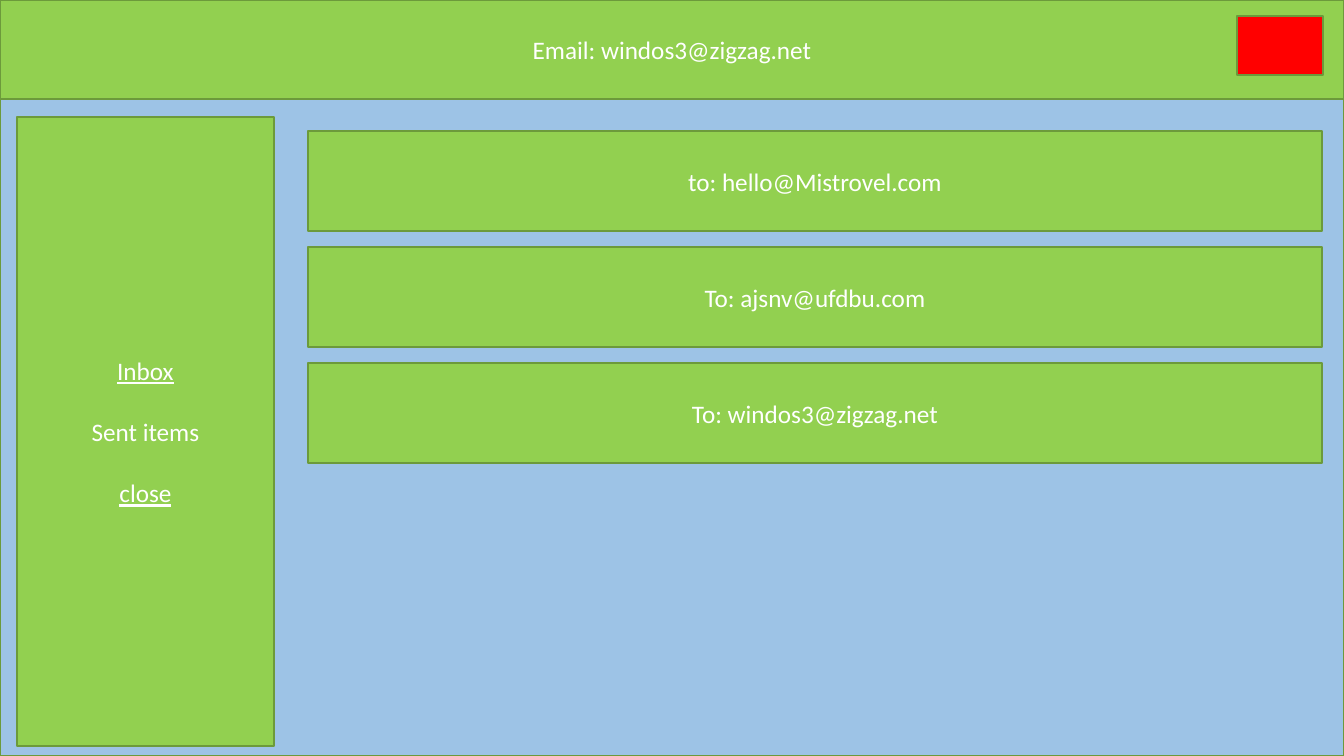
from dataclasses import dataclass

from lxml import etree
from pptx import Presentation
from pptx import util as u
from pptx.dml.color import RGBColor
from pptx.enum import shapes, text
from pptx.oxml.ns import qn

PX = 12192000 / 1344
BLUE, GREEN, RED, EDGE, WHITE = "9DC3E6", "92D050", "FF0000", "6C9A3B", "FFFFFF"
FONT = {"name": "Calibri", "size": u.Pt(18), "bold": False}
FRAME = {
    "word_wrap": True,
    "auto_size": text.MSO_AUTO_SIZE.NONE,
    "vertical_anchor": text.MSO_ANCHOR.MIDDLE,
}


@dataclass
class Line:
    words: str
    under: bool = False


@dataclass
class Panel:
    x: int
    y: int
    w: int
    h: int
    fill: str = GREEN
    lines: tuple[Line, ...] = ()


def px(n: int) -> u.Emu:
    return u.Emu(round(n * PX))


def tint(code: str) -> RGBColor:
    return RGBColor.from_string(code)


def write(frame, lines: tuple[Line, ...]) -> None:
    for key, val in FRAME.items():
        setattr(frame, key, val)
    for i, line in enumerate(lines):
        para = frame.paragraphs[0] if i == 0 else frame.add_paragraph()
        para.alignment = text.PP_ALIGN.CENTER
        para.space_before = u.Pt(22 if i else 0)
        # Plain lines without bullet or indent
        props = para._p.get_or_add_pPr()
        props.set("marL", "0")
        props.set("indent", "0")
        etree.SubElement(props, qn("a:buNone"))
        run = para.add_run()
        run.text = line.words
        for key, val in FONT.items():
            setattr(run.font, key, val)
        run.font.underline = line.under
        run.font.color.rgb = tint(WHITE)


def draw(slide, panel: Panel, holder=None):
    box = [px(n) for n in (panel.x, panel.y, panel.w, panel.h)]
    shape = holder or slide.shapes.add_shape(shapes.MSO_SHAPE.RECTANGLE, *box)
    shape.left, shape.top, shape.width, shape.height = box
    shape.shadow.inherit = False
    shape.fill.solid()
    shape.fill.fore_color.rgb = tint(panel.fill)
    shape.line.color.rgb = tint(EDGE)
    shape.line.width = u.Pt(1)
    if panel.lines:
        write(shape.text_frame, panel.lines)
    return shape


def main() -> None:
    deck = Presentation()
    deck.slide_width, deck.slide_height = px(1344), px(756)
    slide = deck.slides.add_slide(deck.slide_layouts[1])
    title, body = slide.placeholders

    # Backdrop, sent behind the placeholders
    back = draw(slide, Panel(0, 0, 1344, 756, BLUE))
    slide.shapes._spTree.insert(2, back._element)

    # Header bar and close button
    draw(slide, Panel(0, 0, 1344, 99, lines=(Line("Email: windos3@zigzag.net"),)), title)
    draw(slide, Panel(1237, 16, 86, 59, RED))

    # Side menu
    menu = (Line("Inbox", True), Line("Sent items"), Line("close", True))
    draw(slide, Panel(17, 117, 257, 629, lines=menu), body)

    # Sent mail rows
    mails = ("to: hello@Mistrovel.com", "To: ajsnv@ufdbu.com", "To: windos3@zigzag.net")
    for i, mail in enumerate(mails):
        draw(slide, Panel(308, 131 + 116 * i, 1014, 100, lines=(Line(mail),)))

    deck.save("out.pptx")


if __name__ == "__main__":
    main()
